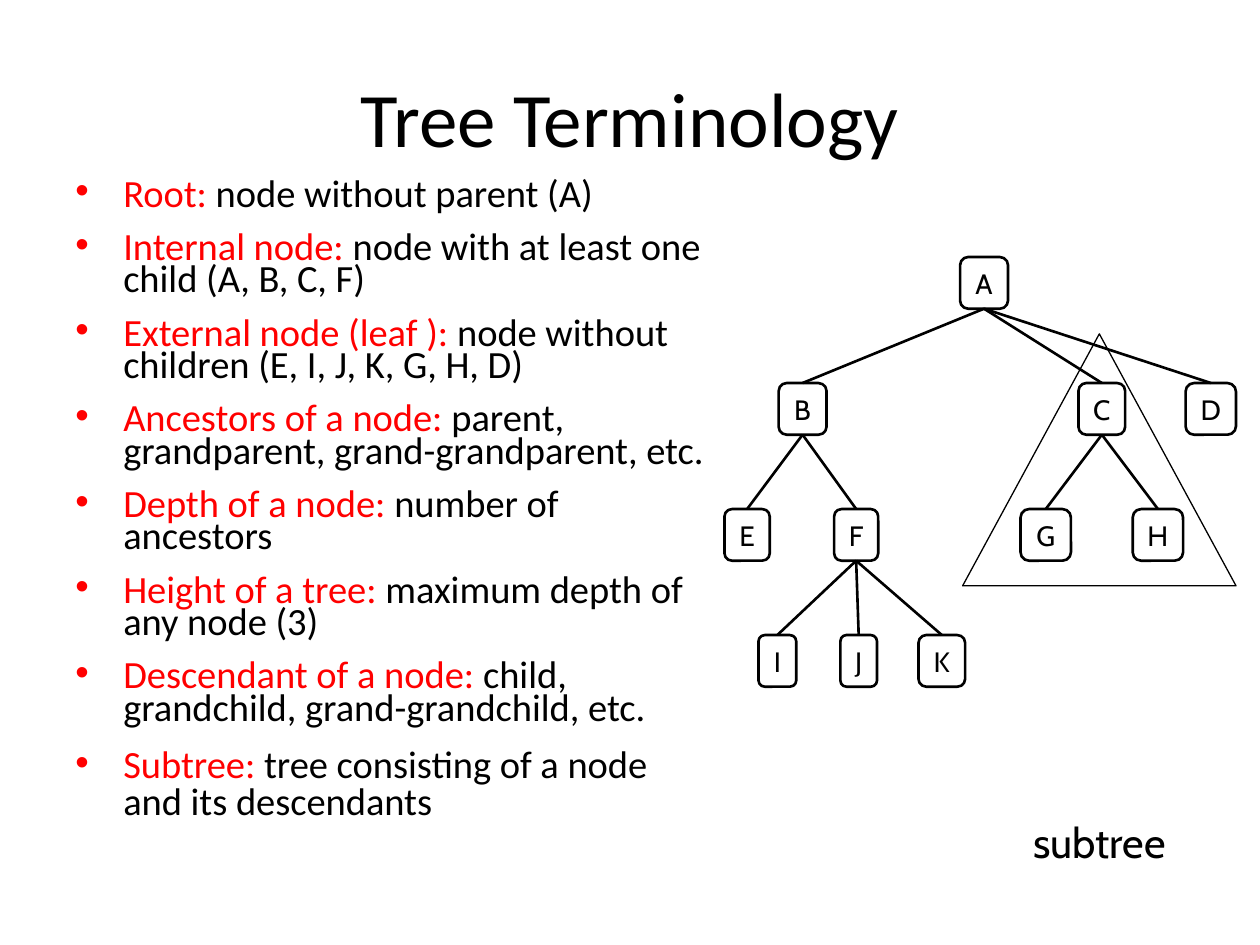
from typing import NamedTuple

from lxml import etree
from pptx import Presentation
from pptx.dml.color import RGBColor
from pptx.enum.shapes import MSO_CONNECTOR, MSO_SHAPE
from pptx.enum.text import MSO_ANCHOR, PP_ALIGN
from pptx.oxml.ns import qn
from pptx.util import Inches, Pt

ROUNDED, TRIANGLE = MSO_SHAPE.ROUNDED_RECTANGLE, MSO_SHAPE.ISOSCELES_TRIANGLE
STRAIGHT = MSO_CONNECTOR.STRAIGHT
MIDDLE, BOTTOM, TOP = MSO_ANCHOR.MIDDLE, MSO_ANCHOR.BOTTOM, MSO_ANCHOR.TOP
CENTER, LEFT = PP_ALIGN.CENTER, PP_ALIGN.LEFT
TOP_SIDE, BOTTOM_SIDE = 0, 2
BLACK, WHITE, RED = "000000", "FFFFFF", "FF0000"
NODE_HEIGHT = 0.41
LEVEL_TOP, LEVEL_STEP = 2.04, 1.0
INDENT = 0.38


class Term(NamedTuple):
    name: str
    meaning: str
    line_spacing: float = 0.7


class Node(NamedTuple):
    label: str
    level: int
    left: float
    width: float
    parent: str = ""


TERMS = [
    Term("Root:", " node without parent (A)"),
    Term("Internal node:", " node with at least one child (A, B, C, F)"),
    Term("External node (leaf ):", " node without children (E, I, J, K, G, H, D)"),
    Term("Ancestors of a node:", " parent, grandparent, grand-grandparent, etc."),
    Term("Depth of a node:", " number of ancestors"),
    Term("Height of a tree:", " maximum depth of any node (3)"),
    Term("Descendant of a node:", " child, grandchild, grand-grandchild, etc."),
    Term("Subtree:", " tree consisting of a node and its descendants", 0.8),
]

NODES = [
    Node("A", 0, 7.62, 0.38),
    Node("B", 1, 6.18, 0.38, "A"),
    Node("C", 1, 8.56, 0.37, "A"),
    Node("D", 1, 9.41, 0.40, "A"),
    Node("E", 2, 5.75, 0.36, "B"),
    Node("F", 2, 6.62, 0.35, "B"),
    Node("G", 2, 8.10, 0.40, "C"),
    Node("H", 2, 8.99, 0.40, "C"),
    Node("I", 3, 6.02, 0.30, "F"),
    Node("J", 3, 6.67, 0.29, "F"),
    Node("K", 3, 7.29, 0.37, "F"),
]


def color(value: str) -> RGBColor:
    return RGBColor.from_string(value)


def set_attributes(target, values: dict) -> None:
    for name, value in values.items():
        setattr(target, name, value)


def add_run(paragraph, text: str, font: str, size: float, font_color: str = BLACK) -> None:
    run = paragraph.add_run()
    run.text = text
    set_attributes(run.font, {"name": font, "size": Pt(size)})
    run.font.color.rgb = color(font_color)


def set_label(shape, text: str, font: str, size: float, anchor=MIDDLE) -> None:
    """Put one centred line of text into a shape."""
    set_attributes(shape.text_frame, {"word_wrap": False, "vertical_anchor": anchor})
    paragraph = shape.text_frame.paragraphs[0]
    paragraph.alignment = CENTER
    add_run(paragraph, text, font, size)


def set_bullet(paragraph) -> None:
    """Give a paragraph a red bullet with a hanging indent."""
    properties = paragraph._p.get_or_add_pPr()
    properties.set("marL", str(Inches(INDENT)))
    properties.set("indent", str(-Inches(INDENT)))
    bullet_color = etree.SubElement(properties, qn("a:buClr"))
    etree.SubElement(bullet_color, qn("a:srgbClr"), val=RED)
    etree.SubElement(properties, qn("a:buFont"), typeface="Arial")
    etree.SubElement(properties, qn("a:buChar"), char="•")


def set_line(shape, width: float) -> None:
    shape.line.color.rgb = color(BLACK)
    shape.line.width = Pt(width)


def add_title(slide) -> None:
    title = slide.shapes.add_textbox(Inches(0.5), Inches(0.3), Inches(9), Inches(1.25))
    set_label(title, "Tree Terminology", "Calibri", 44)


def add_terms(slide) -> None:
    box = slide.shapes.add_textbox(Inches(0.5), Inches(1.39), Inches(5.21), Inches(5.83))
    frame = box.text_frame
    set_attributes(frame, {"word_wrap": True, "vertical_anchor": TOP})
    for index, term in enumerate(TERMS):
        paragraph = frame.add_paragraph() if index else frame.paragraphs[0]
        set_attributes(paragraph, {"alignment": LEFT, "line_spacing": term.line_spacing,
                                   "space_before": Pt(12)})
        set_bullet(paragraph)
        add_run(paragraph, term.name, "Calibri", 22, RED)
        add_run(paragraph, term.meaning, "Calibri", 22)


def add_node(slide, node: Node):
    top = LEVEL_TOP + node.level * LEVEL_STEP
    shape = slide.shapes.add_shape(ROUNDED, Inches(node.left), Inches(top),
                                   Inches(node.width), Inches(NODE_HEIGHT))
    shape.shadow.inherit = False
    shape.fill.solid()
    shape.fill.fore_color.rgb = color(WHITE)
    set_line(shape, 1.5)
    set_label(shape, node.label, "Cabin", 16)
    return shape


def add_branch(slide, parent, child) -> None:
    branch = slide.shapes.add_connector(STRAIGHT, 0, 0, 0, 0)
    branch.begin_connect(parent, BOTTOM_SIDE)
    branch.end_connect(child, TOP_SIDE)
    set_line(branch, 1.5)
    etree.SubElement(branch._element.spPr, qn("a:effectLst"))


def add_tree(slide) -> None:
    shapes = {node.label: add_node(slide, node) for node in NODES}
    for node in NODES:
        if node.parent:
            add_branch(slide, shapes[node.parent], shapes[node.label])


def add_subtree_outline(slide) -> None:
    """Frame the subtree of C, with its caption below the triangle."""
    outline = slide.shapes.add_shape(TRIANGLE, Inches(7.64), Inches(2.65),
                                     Inches(2.17), Inches(2))
    outline.shadow.inherit = False
    outline.fill.background()
    set_line(outline, 0.75)
    set_label(outline, "subtree", "Cabin", 24, BOTTOM)
    set_attributes(outline.text_frame, {"margin_top": Inches(0.67),
                                        "margin_bottom": Inches(-2.23)})


def main() -> None:
    presentation = Presentation()
    set_attributes(presentation, {"slide_width": Inches(10), "slide_height": Inches(7.5)})
    slide = presentation.slides.add_slide(presentation.slide_layouts[6])
    add_title(slide)
    add_terms(slide)
    add_tree(slide)
    add_subtree_outline(slide)
    presentation.save("out.pptx")


if __name__ == "__main__":
    main()
